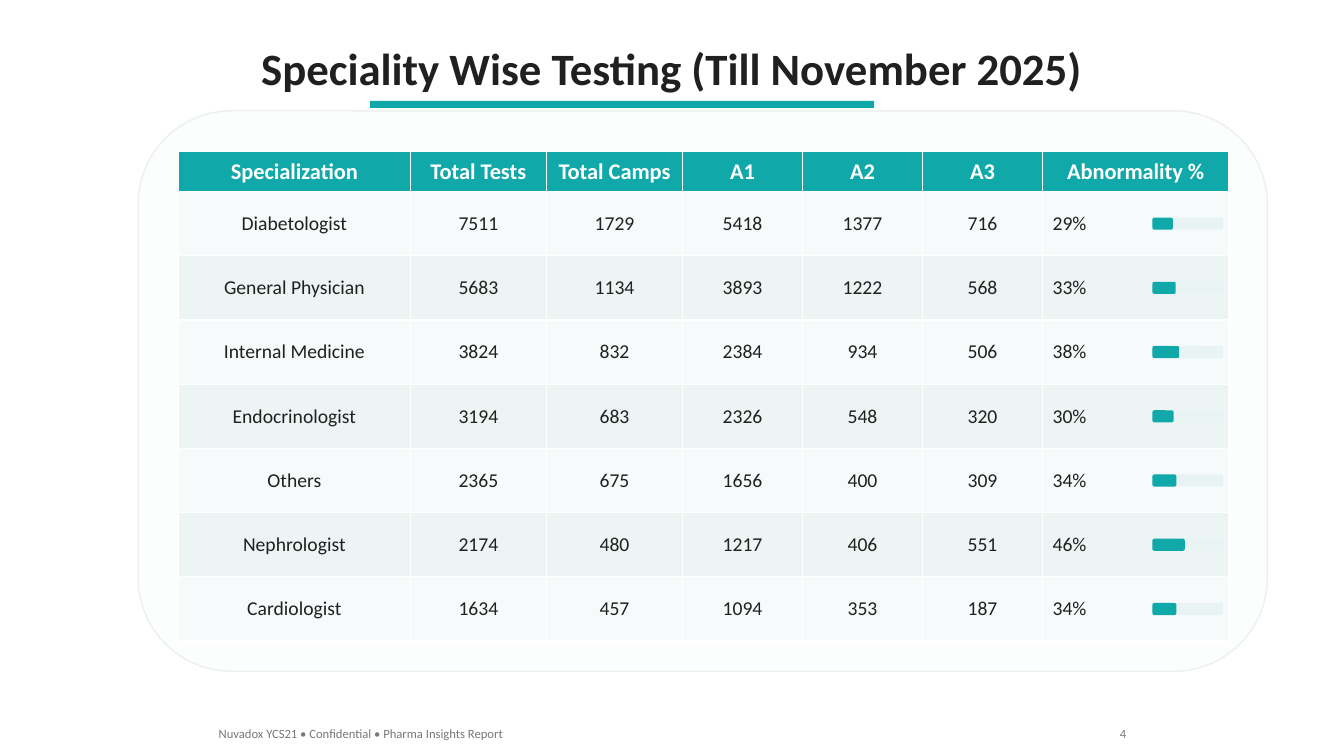
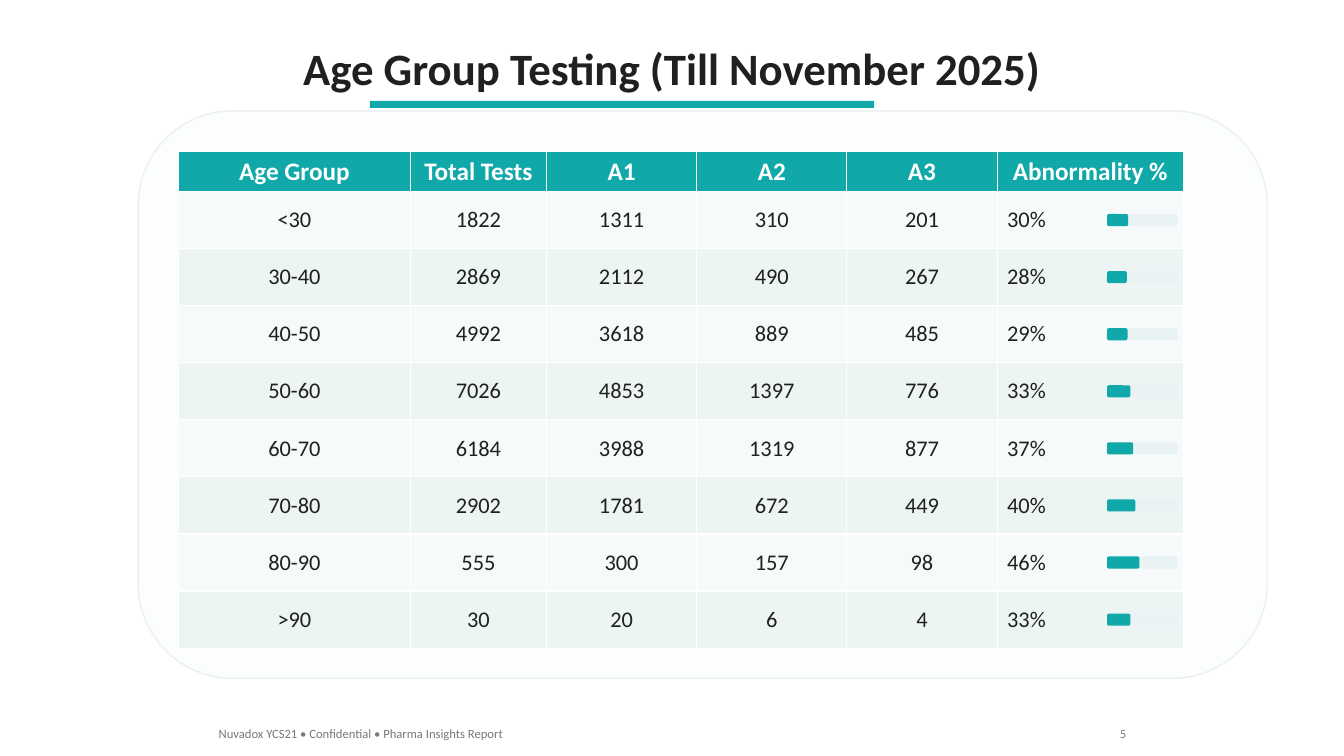
from pptx import Presentation
from pptx.dml.color import RGBColor
from pptx.enum.shapes import MSO_SHAPE
from pptx.enum.text import MSO_ANCHOR, MSO_AUTO_SIZE, PP_ALIGN
from pptx.util import Inches, Pt

RECTANGLE, ROUNDED = MSO_SHAPE.RECTANGLE, MSO_SHAPE.ROUNDED_RECTANGLE
LEFT, CENTER, RIGHT = PP_ALIGN.LEFT, PP_ALIGN.CENTER, PP_ALIGN.RIGHT
MIDDLE = MSO_ANCHOR.MIDDLE
FIT_SHAPE = MSO_AUTO_SIZE.SHAPE_TO_FIT_TEXT

FONT = "Calibri"
TEAL, INK, GRAY, WHITE = "10A8A8", "202020", "787878", "FFFFFF"
PANEL, PANEL_LINE, TRACK = "FCFDFD", "EBF0F0", "EAF3F3"
BANDS = ["F6FAFA", "ECF4F4"]
FOOTER = "Nuvadox YCS21 • Confidential • Pharma Insights Report"

SLIDE_WIDTH = 13.33
TABLE_LEFT, TABLE_TOP, HEADER_HEIGHT = 1.77, 1.5, 0.4
PANEL_WIDTH, PANEL_PADDING = 11.2, 0.4
BAR_WIDTH, BAR_HEIGHT, BAR_OFFSET = 0.7, 0.12, 0.76

REPORTS = [
    {
        "title": "Speciality Wise Testing (Till November 2025)",
        "title_width": 8.43, "number": "4", "body_height": 4.46,
        "header_size": 16, "body_size": 14,
        "columns": [2.3, 1.35, 1.35, 1.19, 1.19, 1.19, 1.85],
        "rows": [
            ["Specialization", "Total Tests", "Total Camps", "A1", "A2", "A3", "Abnormality %"],
            ["Diabetologist", "7511", "1729", "5418", "1377", "716", "29%"],
            ["General Physician", "5683", "1134", "3893", "1222", "568", "33%"],
            ["Internal Medicine", "3824", "832", "2384", "934", "506", "38%"],
            ["Endocrinologist", "3194", "683", "2326", "548", "320", "30%"],
            ["Others", "2365", "675", "1656", "400", "309", "34%"],
            ["Nephrologist", "2174", "480", "1217", "406", "551", "46%"],
            ["Cardiologist", "1634", "457", "1094", "353", "187", "34%"],
        ],
    },
    {
        "title": "Age Group Testing (Till November 2025)",
        "title_width": 7.59, "number": "5", "body_height": 4.53,
        "header_size": 18, "body_size": 16,
        "columns": [2.3, 1.35, 1.49, 1.49, 1.49, 1.85],
        "rows": [
            ["Age Group", "Total Tests", "A1", "A2", "A3", "Abnormality %"],
            ["<30", "1822", "1311", "310", "201", "30%"],
            ["30-40", "2869", "2112", "490", "267", "28%"],
            ["40-50", "4992", "3618", "889", "485", "29%"],
            ["50-60", "7026", "4853", "1397", "776", "33%"],
            ["60-70", "6184", "3988", "1319", "877", "37%"],
            ["70-80", "2902", "1781", "672", "449", "40%"],
            ["80-90", "555", "300", "157", "98", "46%"],
            [">90", "30", "20", "6", "4", "33%"],
        ],
    },
]


def color(hex_text):
    return RGBColor.from_string(hex_text)


def write_text(text_frame, text, size, ink=INK, bold=False, align=CENTER):
    paragraph = text_frame.paragraphs[0]
    paragraph.alignment = align
    run = paragraph.add_run()
    run.text = text
    run.font.name = FONT
    run.font.size = Pt(size)
    run.font.bold = bold
    run.font.color.rgb = color(ink)


presentation = Presentation()
presentation.slide_width = Inches(SLIDE_WIDTH)
presentation.slide_height = Inches(7.5)

for report in REPORTS:
    slide = presentation.slides.add_slide(presentation.slide_layouts[6])
    rows, columns = report["rows"], report["columns"]
    table_width = sum(columns)
    table_height = HEADER_HEIGHT + report["body_height"]
    row_height = report["body_height"] / (len(rows) - 1)
    bar_left = TABLE_LEFT + table_width - BAR_OFFSET

    # Title and footer
    title_left = (SLIDE_WIDTH - report["title_width"]) / 2
    for text, left, top, width, height, style in [
        (report["title"], title_left, 0.35, report["title_width"], 0.64, {"size": 32, "bold": True}),
        (FOOTER, 2.07, 7.15, 3.05, 0.25, {"size": 9, "ink": GRAY, "align": LEFT}),
        (report["number"], 11, 7.15, 0.27, 0.25, {"size": 9, "ink": GRAY, "align": RIGHT}),
    ]:
        text_box = slide.shapes.add_textbox(Inches(left), Inches(top), Inches(width), Inches(height))
        text_box.text_frame.word_wrap = False
        text_box.text_frame.auto_size = FIT_SHAPE
        write_text(text_box.text_frame, text, **style)

    # Table
    frame = slide.shapes.add_table(
        len(rows), len(columns), Inches(TABLE_LEFT), Inches(TABLE_TOP),
        Inches(table_width), Inches(table_height))
    table = frame.table
    for column, width in zip(table.columns, columns):
        column.width = Inches(width)
    for row_index, values in enumerate(rows):
        is_header = row_index == 0
        table.rows[row_index].height = Inches(HEADER_HEIGHT if is_header else row_height)
        for column_index, value in enumerate(values):
            cell = table.cell(row_index, column_index)
            cell.vertical_anchor = MIDDLE
            cell.fill.solid()
            cell.fill.fore_color.rgb = color(TEAL if is_header else BANDS[(row_index - 1) % 2])
            if is_header:
                write_text(cell.text_frame, value, report["header_size"], ink=WHITE, bold=True)
            else:
                write_text(cell.text_frame, value, report["body_size"],
                           align=LEFT if value.endswith("%") else CENTER)

    # Title rule, panel and abnormality bars
    pieces = [
        (RECTANGLE, 3.67, 1, 5, 0.07, TEAL, None),
        (ROUNDED, TABLE_LEFT - PANEL_PADDING, TABLE_TOP - PANEL_PADDING,
         PANEL_WIDTH, table_height + 0.7, PANEL, PANEL_LINE),
    ]
    for row_index, values in enumerate(rows[1:]):
        bar_top = TABLE_TOP + HEADER_HEIGHT + (row_index + 0.5) * row_height - BAR_HEIGHT / 2
        share = int(values[-1].rstrip("%")) / 100
        for width, fill in [(BAR_WIDTH, TRACK), (BAR_WIDTH * share, TEAL)]:
            pieces.append((ROUNDED, bar_left, bar_top, width, BAR_HEIGHT, fill, None))
    for kind, left, top, width, height, fill, line in pieces:
        shape = slide.shapes.add_shape(kind, Inches(left), Inches(top), Inches(width), Inches(height))
        shape.shadow.inherit = False
        shape.fill.solid()
        shape.fill.fore_color.rgb = color(fill)
        if line:
            shape.line.color.rgb = color(line)
            shape.line.width = Pt(1)
            # The panel lies behind the table
            frame.element.addprevious(shape.element)
        else:
            shape.line.fill.background()

presentation.save("out.pptx")
